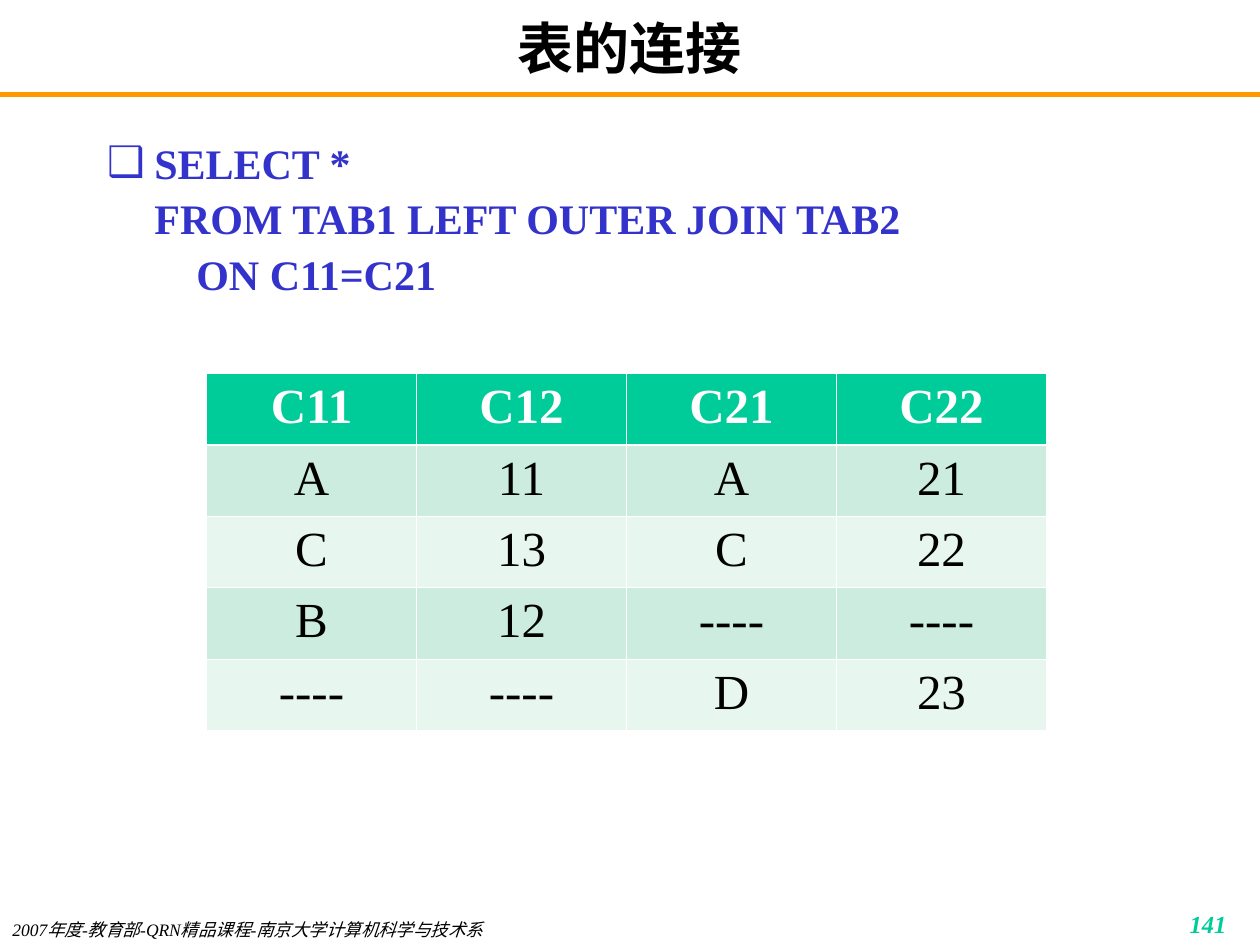
from lxml import etree
from pptx import Presentation
from pptx import util as u
from pptx.dml.color import RGBColor
from pptx.enum import shapes, text
from pptx.oxml import ns

Pt = u.Pt
AL = text.PP_ALIGN
INK, BLUE, GREEN, WHITE = "000000", "3333CC", "00CC99", "FFFFFF"
BANDS = ["CBECDE", "E7F6EF"]


def tint(code):
    return RGBColor.from_string(code)


def sub(node, tag, **attrs):
    return etree.SubElement(node, ns.qn(tag), attrs)


class Deck:
    """Holds the text style and the current slide."""

    def __init__(self, wide, high):
        self.prs = Presentation()
        self.prs.slide_width, self.prs.slide_height = Pt(wide), Pt(high)
        self.style = {"name": "Times New Roman", "bold": False, "italic": False}
        self.page = self.prs.slides.add_slide(self.prs.slide_layouts[1])

    def place(self, shape, box):
        for side, val in zip(("left", "top", "width", "height"), box):
            setattr(shape, side, Pt(val))

    def fill_in(self, frame, words, align, size, color, **more):
        para = frame.paragraphs[0]
        para.text = words
        para.alignment = align
        para.space_before = Pt(0)
        for run in para.runs:
            for key, val in {**self.style, "size": Pt(size), **more}.items():
                setattr(run.font, key, val)
            run.font.color.rgb = tint(color)
        return para

    def frame(self, shape, anchor, pads=(7.2, 3.6)):
        frame = shape.text_frame
        form = {
            "word_wrap": True, "auto_size": text.MSO_AUTO_SIZE.NONE,
            "vertical_anchor": anchor,
            "margin_left": Pt(pads[0]), "margin_right": Pt(pads[0]),
            "margin_top": Pt(pads[1]), "margin_bottom": Pt(pads[1]),
        }
        for key, val in form.items():
            setattr(frame, key, val)
        return frame

    def title(self, words, box):
        shape = self.page.shapes.title
        self.place(shape, box)
        frame = self.frame(shape, text.MSO_ANCHOR.MIDDLE)
        self.fill_in(frame, words, AL.CENTER, 32, INK, bold=True)

    def body(self, words, box):
        shape = self.page.placeholders[1]
        self.place(shape, box)
        frame = self.frame(shape, text.MSO_ANCHOR.TOP)
        para = self.fill_in(frame, words, AL.LEFT, 24, BLUE, bold=True)
        para.line_spacing = 1.1
        # Hanging bullet
        props = para._p.get_or_add_pPr()
        props.set("marL", str(Pt(27)))
        props.set("indent", str(Pt(-27)))
        sub(sub(props, "a:buClr"), "a:srgbClr", val=BLUE)
        sub(props, "a:buChar", char="❑")

    def label(self, words, box, pads, *look, **more):
        shape = self.page.shapes.add_textbox(*map(Pt, box))
        frame = self.frame(shape, text.MSO_ANCHOR.TOP, pads)
        self.fill_in(frame, words, *look, **more)

    def rule(self, x1, y1, x2, y2, color, width):
        line = self.page.shapes.add_connector(
            shapes.MSO_CONNECTOR.STRAIGHT, *map(Pt, (x1, y1, x2, y2)))
        line.line.color.rgb, line.line.width = tint(color), Pt(width)
        sub(line._element.spPr, "a:effectLst")

    def edge(self, cell, side, width):
        line = sub(cell._tc.get_or_add_tcPr(), "a:ln" + side, w=str(Pt(width)))
        sub(sub(line, "a:solidFill"), "a:srgbClr", val=WHITE)

    def table(self, rows, box):
        grid = self.page.shapes.add_table(
            len(rows), len(rows[0]), *map(Pt, box)).table
        for r, row in enumerate(rows):
            head = r == 0
            for c, words in enumerate(row):
                cell = grid.cell(r, c)
                thick = {"T": r == 1, "B": head}
                for side in "LRTB":
                    self.edge(cell, side, 1.47 if thick.get(side) else 0.45)
                cell.fill.solid()
                cell.fill.fore_color.rgb = tint(GREEN if head else BANDS[(r - 1) % 2])
                self.fill_in(cell.text_frame, words, AL.CENTER, 28,
                             WHITE if head else INK, bold=head)


def main():
    deck = Deck(720, 540)

    # Heading and rule
    deck.rule(0, 54, 720, 54, "FF9900", 3)
    deck.title("表的连接", (54, 6, 612, 42))

    # Query
    deck.body("SELECT *\vFROM TAB1 LEFT OUTER JOIN TAB2 \v    ON C11=C21",
              (54, 72, 612, 426))

    # Join result
    deck.table([
        ["C11", "C12", "C21", "C22"],
        ["A", "11", "A", "21"],
        ["C", "13", "C", "22"],
        ["B", "12", "----", "----"],
        ["----", "----", "D", "23"],
    ], (118, 213.5, 480, 204))

    # Footer and page number
    deck.label("2007年度-教育部-QRN精品课程-南京大学计算机科学与技术系",
               (0, 525, 451, 15), (7.2, 0), AL.LEFT, 10, INK, italic=True)
    deck.label("141", (558, 516, 150, 18), (7.2, 3.6),
               AL.RIGHT, 14, GREEN, bold=True, italic=True)

    deck.prs.save("out.pptx")


if __name__ == "__main__":
    main()
